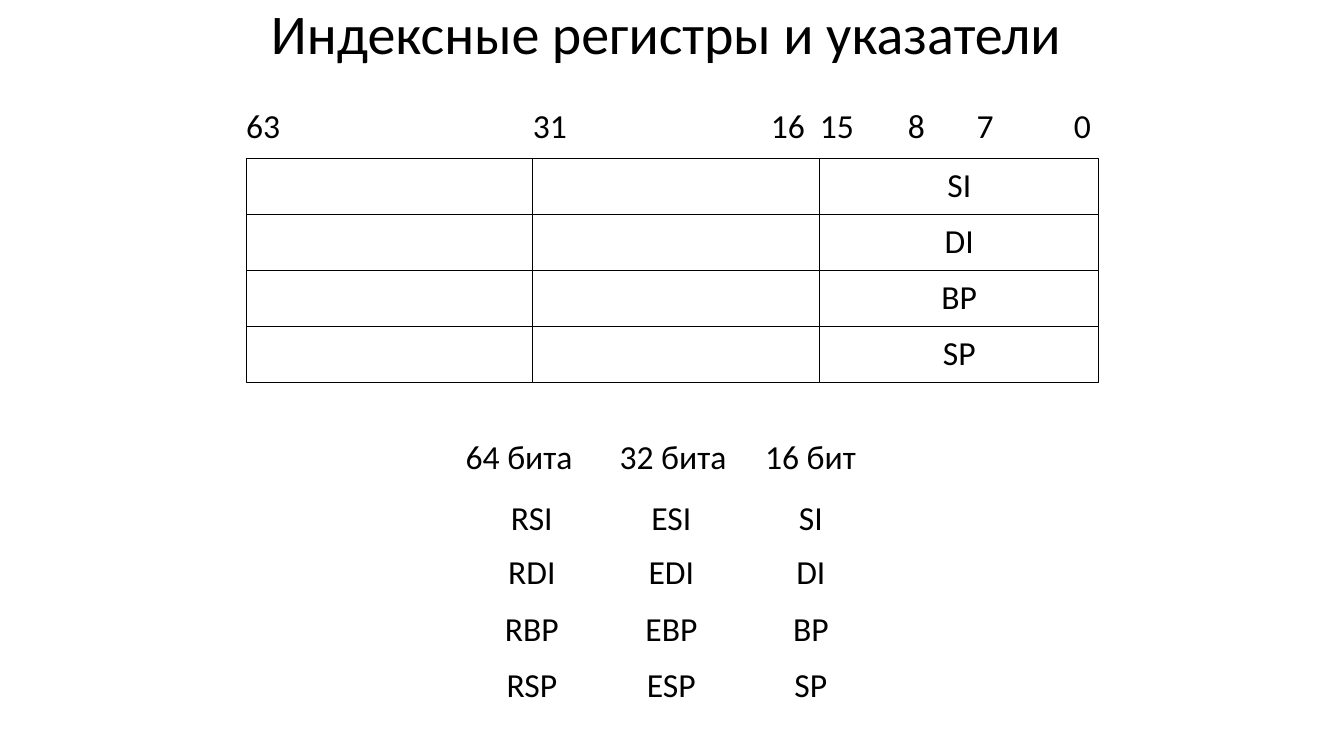
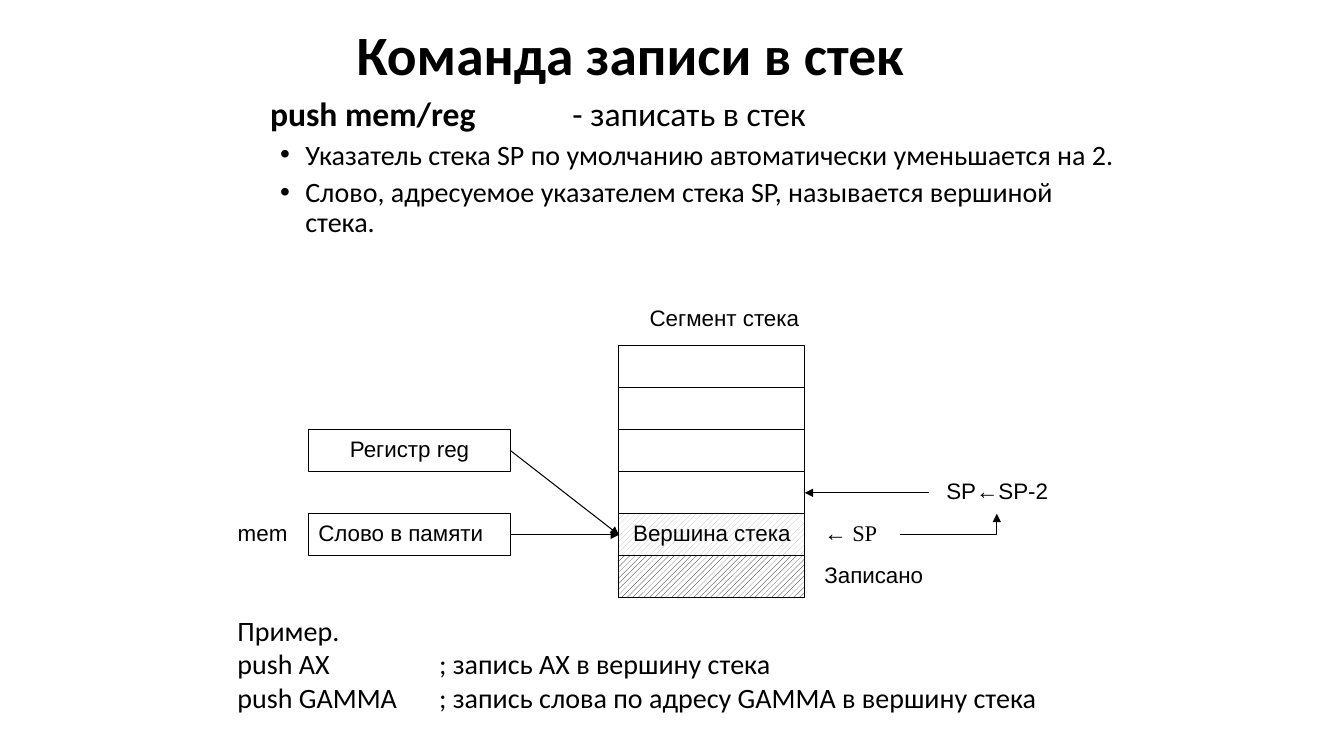
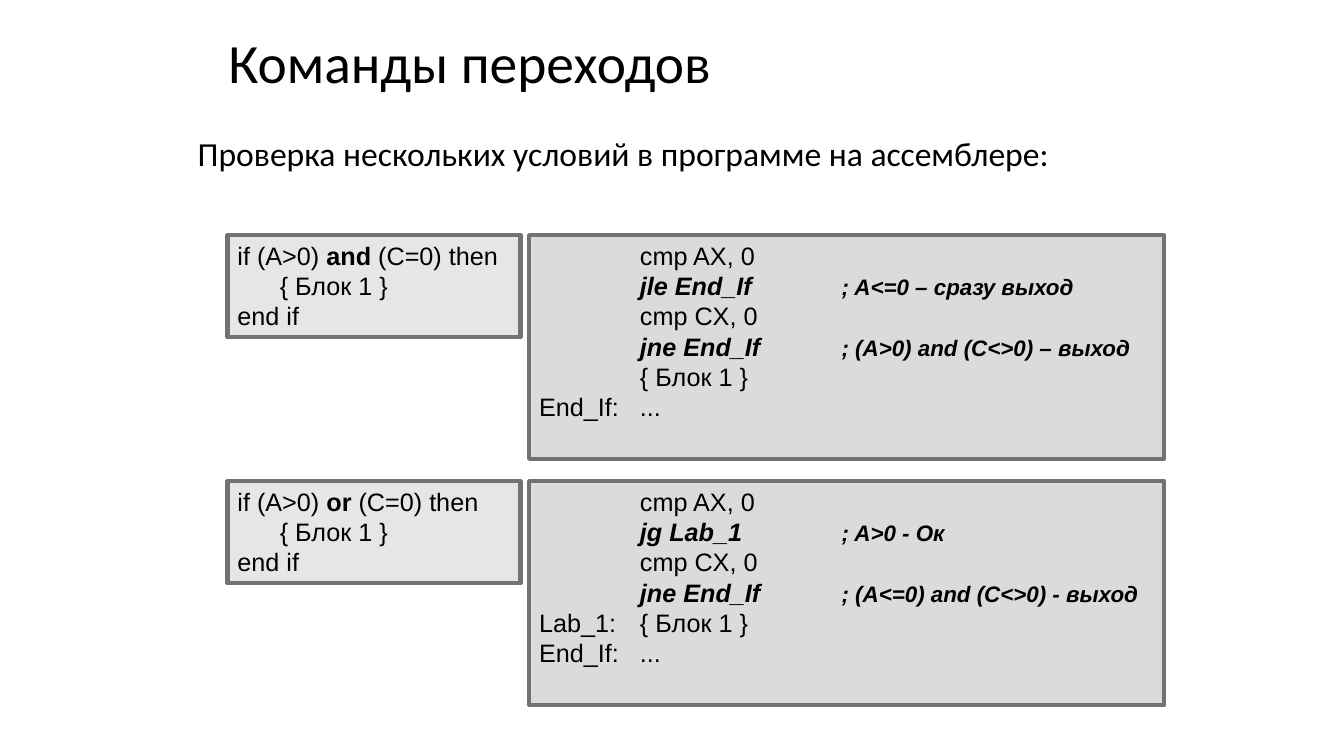
from lxml.etree import SubElement
from pptx import Presentation
from pptx.dml.color import RGBColor
from pptx.enum.dml import MSO_PATTERN
from pptx.enum.shapes import MSO_CONNECTOR, MSO_SHAPE
from pptx.enum.text import MSO_ANCHOR, PP_ALIGN
from pptx.oxml.ns import qn
from pptx.util import Emu, Inches, Pt

SLIDE_WIDTH, SLIDE_HEIGHT = Inches(13.33), Inches(7.5)
INK, PAPER = "000000", "FFFFFF"
PSEUDOCODE_FILL, CODE_FILL, CODE_BORDER = "E7E6E6", "DBDBDB", "767171"
TEXT_FONT, DIAGRAM_FONT, ARROW_FONT = "Calibri", "Arial", "Times New Roman"
LEFT, CENTER = PP_ALIGN.LEFT, PP_ALIGN.CENTER
BOLD = {"bold": True}
JUMP = {"bold": True, "italic": True}
REMARK = {"bold": True, "italic": True, "size": 16}

# Positions and sizes are percentages of the slide's width and height.
REGISTER_EDGES = (18.32, 39.65, 61, 81.75)
REGISTER_TOP, REGISTER_PITCH = 21, 7.4
NAME_TOPS = (65.73, 72.93, 80.4, 87.87)
LABEL_HEIGHT = 5.7
STACK_LEFT, STACK_TOP, STACK_WIDTH, STACK_PITCH = 46.05, 45.73, 13.83, 5.56
STACK_RIGHT = STACK_LEFT + STACK_WIDTH
SOURCE_LEFT, SOURCE_WIDTH = 22.95, 15.05


def color(hex_code):
    return RGBColor.from_string(hex_code)


def across(percent):
    return Emu(round(SLIDE_WIDTH * percent / 100))


def down(percent):
    return Emu(round(SLIDE_HEIGHT * percent / 100))


def place(area):
    left, top, width, height = area
    return across(left), down(top), across(width), down(height)


def write(shape, lines, size, font=TEXT_FONT, align=LEFT, bold=False, spacing=None, before=0):
    """Fill a shape; a line is a string or a list of (text, style) runs."""
    frame = shape.text_frame
    frame.word_wrap = True
    frame.vertical_anchor = MSO_ANCHOR.TOP
    for number, line in enumerate(lines):
        paragraph = frame.add_paragraph() if number else frame.paragraphs[0]
        paragraph.alignment = align
        paragraph.space_before = Pt(before)
        if spacing:
            paragraph.line_spacing = spacing
        runs = [(line, {})] if isinstance(line, str) else line
        for text, style in runs:
            run = paragraph.add_run()
            run.text = text
            run.font.name = style.get("font", font)
            run.font.size = Pt(style.get("size", size))
            run.font.bold = style.get("bold", bold)
            run.font.italic = style.get("italic", False)
            run.font.color.rgb = color(INK)
    return frame


def indent(paragraph, margin, first=0):
    properties = paragraph._p.get_or_add_pPr()
    properties.set("marL", str(Inches(margin)))
    properties.set("indent", str(Inches(first)))
    return properties


def add_bullet(paragraph):
    properties = indent(paragraph, 0.35, -0.25)
    SubElement(properties, qn("a:buFont")).set("typeface", "Arial")
    SubElement(properties, qn("a:buChar")).set("char", "•")


def set_tabs(paragraphs, *stops):
    for paragraph in paragraphs:
        tabs = SubElement(paragraph._p.get_or_add_pPr(), qn("a:tabLst"))
        for stop in stops:
            tab = SubElement(tabs, qn("a:tab"))
            tab.set("pos", str(Inches(stop)))
            tab.set("algn", "l")


def add_text(slide, area, lines, size, **style):
    return write(slide.shapes.add_textbox(*place(area)), lines, size, **style)


def add_title(slide, area, text, size=39.6, **style):
    frame = add_text(slide, area, [text], size, spacing=0.9, **style)
    frame.vertical_anchor = MSO_ANCHOR.MIDDLE


def add_box(slide, area, fill=PAPER, border=INK, weight=0.75):
    shape = slide.shapes.add_shape(MSO_SHAPE.RECTANGLE, *place(area))
    shape.shadow.inherit = False
    shape.fill.solid()
    shape.fill.fore_color.rgb = color(fill)
    if border:
        shape.line.color.rgb = color(border)
        shape.line.width = Pt(weight)
    else:
        shape.line.fill.background()
    return shape


def add_label(slide, left, top, width, text, align=LEFT):
    """Add a register caption without inner margins."""
    label = add_box(slide, (left, top, width, LABEL_HEIGHT), border=None)
    frame = write(label, [text], 24, align=align)
    frame.margin_left = frame.margin_right = frame.margin_top = frame.margin_bottom = 0


def hatch(shape, stripe):
    shape.fill.patterned()
    shape.fill.pattern = MSO_PATTERN.WIDE_UPWARD_DIAGONAL
    shape.fill.fore_color.rgb = color(stripe)
    shape.fill.back_color.rgb = color(PAPER)


def add_arrow(slide, start, end, bent=False):
    kind = MSO_CONNECTOR.ELBOW if bent else MSO_CONNECTOR.STRAIGHT
    arrow = slide.shapes.add_connector(
        kind, across(start[0]), down(start[1]), across(end[0]), down(end[1]))
    arrow.line.color.rgb = color(INK)
    arrow.line.width = Pt(0.75)
    properties = arrow._element.spPr
    if bent:
        properties.find(qn("a:prstGeom")).set("prst", "bentConnector2")
    SubElement(properties.find(qn("a:ln")), qn("a:tailEnd")).set("type", "triangle")
    SubElement(properties, qn("a:effectLst"))


def stack_row(index):
    return STACK_TOP + STACK_PITCH * index


def build_registers(slide):
    add_title(slide, (12.5, 0.5, 74.1, 8.5), "Индексные регистры и указатели", 40, align=CENTER)
    bits = (("63", 18.32, LEFT), ("31", 39.65, LEFT), ("16", 56.93, CENTER), ("15", 61, LEFT),
            ("8", 67.55, LEFT), ("7", 71.6, CENTER), ("0", 78.84, CENTER))
    for bit, left, align in bits:
        add_label(slide, left, 13.87, 3.4, bit, align)

    names = ("SI", "DI", "BP", "SP")
    for row, (name, name_top) in enumerate(zip(names, NAME_TOPS)):
        top = REGISTER_TOP + REGISTER_PITCH * row
        for left, right in zip(REGISTER_EDGES, REGISTER_EDGES[1:]):
            cell = add_box(slide, (left, top, right - left, REGISTER_PITCH))
        write(cell, [name], 24, align=CENTER)
        for column, prefix in enumerate(("R", "E", "")):
            add_label(slide, 35.75 + 10.38 * column, name_top, 7.65, prefix + name, CENTER)

    headings = (("64 бита", 34.65, 8.8), ("32 бита", 46.1, 9.2), ("16 бит", 56.93, 7.65))
    for heading, left, width in headings:
        add_label(slide, left, 57.6, width, heading)


def build_stack_diagram(slide):
    def add_caption(left, row, width, line, align=LEFT, font=DIAGRAM_FONT):
        caption = add_box(slide, (left, stack_row(row), width, STACK_PITCH), border=None)
        write(caption, [line], 16, font=font, align=align)

    cells = [add_box(slide, (STACK_LEFT, stack_row(row), STACK_WIDTH, STACK_PITCH))
             for row in range(6)]
    hatch(cells[4], "BFBFBF")
    hatch(cells[5], INK)
    write(cells[4], ["Вершина стека"], 16, font=DIAGRAM_FONT, align=CENTER)

    for row, name, align in ((2, "Регистр reg", CENTER), (4, "Слово в памяти", LEFT)):
        source = add_box(slide, (SOURCE_LEFT, stack_row(row), SOURCE_WIDTH, STACK_PITCH))
        write(source, [name], 16, font=DIAGRAM_FONT, align=align)
        add_arrow(slide, (SOURCE_LEFT + SOURCE_WIDTH, stack_row(row + 0.5)),
                  (STACK_LEFT, stack_row(4.5)))

    add_text(slide, (16.95, stack_row(4), 6.4, STACK_PITCH), ["mem"], 16, font=DIAGRAM_FONT)
    add_caption(STACK_LEFT, -1.1, 15.7, "Сегмент стека", CENTER)
    add_caption(60.6, 4, 6.4, "← SP", font=ARROW_FONT)
    add_caption(60.6, 5, 12.4, "Записано")
    add_caption(69.1, 3, 10.2, [("SP", {}), ("←", {"font": ARROW_FONT}), ("SP-2", {})], CENTER)
    add_arrow(slide, (67, stack_row(4.5)), (74.17, stack_row(4)), bent=True)
    add_arrow(slide, (69.1, stack_row(3.5)), (STACK_RIGHT, stack_row(3.5)))


def build_push(slide):
    add_title(slide, (16.25, 4, 61.3, 7.2), "Команда записи в стек", align=CENTER, bold=True)
    command = [("push mem/reg", {"bold": True, "size": 24}), ("\t- записать в стек", {"size": 24})]
    body = add_text(slide, (19.35, 12.25, 64.5, 26.3), [
        command,
        "Указатель стека SP по умолчанию автоматически уменьшается на 2.",
        [("Слово, адресуемое указателем стека SP", {}), (", называется вершиной стека.", {})],
    ], 20, spacing=0.9, before=5)
    heading, *points = body.paragraphs
    set_tabs([heading], 3)
    for point in points:
        add_bullet(point)

    build_stack_diagram(slide)
    example = add_text(slide, (16.93, 80.45, 68, 14.8), [
        "Пример.",
        "push AX\t\t; запись AX в вершину стека",
        "push GAMMA \t; запись слова по адресу GAMMA в вершину стека",
    ], 20)
    set_tabs(example.paragraphs, 1, 2)


def add_condition(slide, top, operator, first_jump, first_remark, second_remark, block_label):
    """Add a condition in pseudocode and, beside it, in assembler."""
    pseudocode = add_box(slide, (16.93, top, 21.8, 13.5), PSEUDOCODE_FILL, CODE_BORDER, 3)
    frame = write(pseudocode, [
        [("if (A>0) ", {}), (operator, BOLD), (" (C=0) then", {})],
        "{ Блок 1 }",
        "end if",
    ], 18, font=DIAGRAM_FONT)
    indent(frame.paragraphs[1], 0.42)

    assembler = add_box(slide, (39.38, top, 47.25, 29.6), CODE_FILL, CODE_BORDER, 3)
    frame = write(assembler, [
        "\tcmp AX, 0",
        [(f"\t{first_jump}\t", JUMP), (first_remark, REMARK)],
        "\tcmp CX, 0",
        [("\tjne End_If\t", JUMP), (second_remark, REMARK)],
        f"{block_label}\t{{ Блок 1 }}",
        "End_If:\t...",
    ], 18, font=DIAGRAM_FONT)
    set_tabs(frame.paragraphs, 1, 3)


def build_jumps(slide):
    add_title(slide, (16.25, 4, 67.5, 9.2), "Команды переходов")
    add_text(slide, (13.97, 17.5, 72.7, 12.5),
             ["Проверка нескольких условий в программе на ассемблере:"],
             24, spacing=0.9, before=10)
    add_condition(slide, 31.1, "and", "jle End_If", "; A<=0 – сразу выход",
                  "; (A>0) and (C<>0) – выход", "")
    add_condition(slide, 63.65, "or", "jg Lab_1", "; A>0 - Ок",
                  "; (A<=0) and (C<>0) - выход", "Lab_1:")


def main():
    presentation = Presentation()
    presentation.slide_width, presentation.slide_height = SLIDE_WIDTH, SLIDE_HEIGHT
    blank = presentation.slide_layouts[6]
    for build in (build_registers, build_push, build_jumps):
        build(presentation.slides.add_slide(blank))
    presentation.save("out.pptx")


if __name__ == "__main__":
    main()
